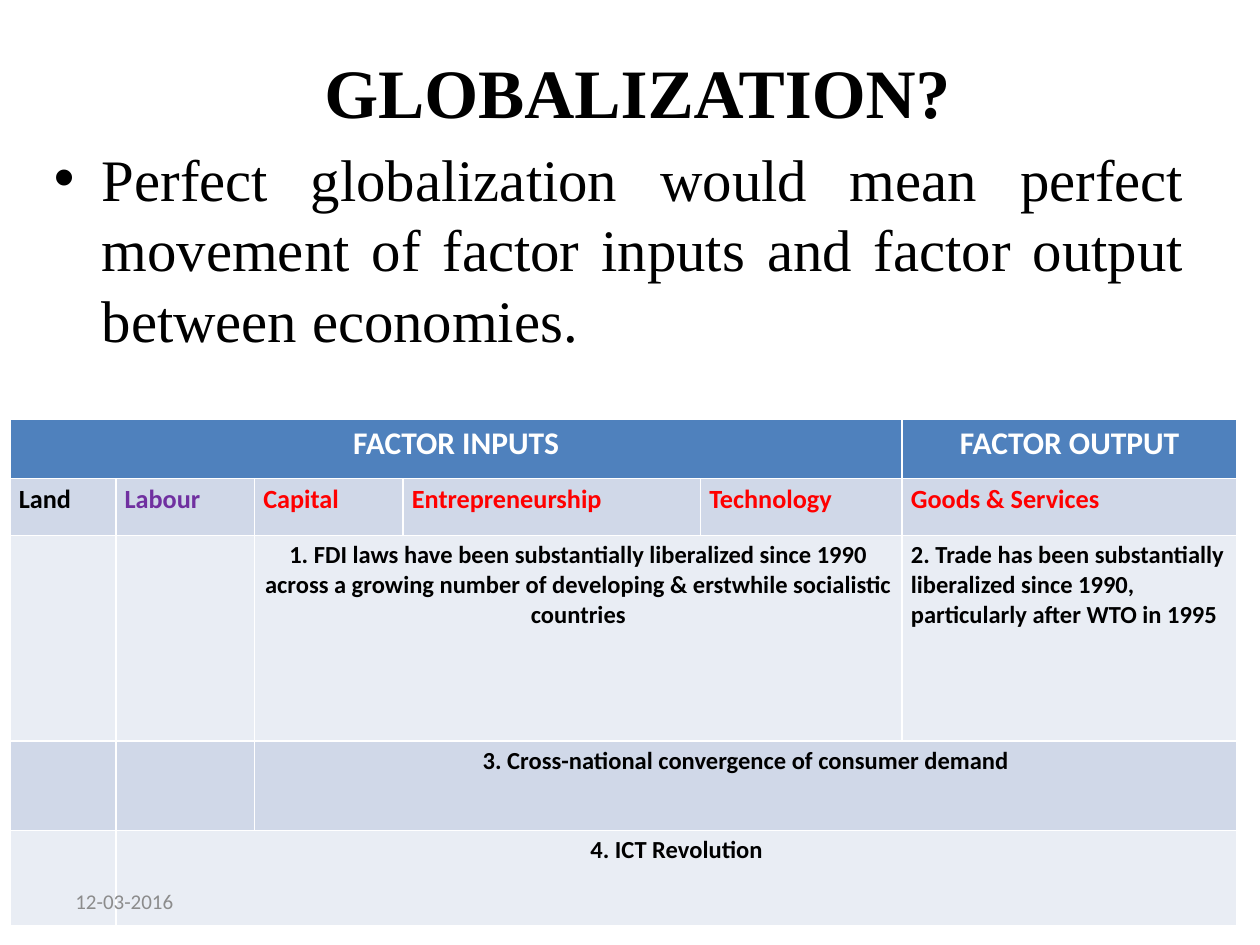
import pptx
import pptx.dml.color
import pptx.enum.text
import pptx.util
from lxml import etree

WIDTH, HEIGHT = 10, 7.5
ALIGN = pptx.enum.text.PP_ALIGN
ANCHOR = pptx.enum.text.MSO_ANCHOR
SERIF, SANS = "Times New Roman", "Calibri"
BLACK, WHITE, RED, PURPLE, GREY = "000000", "FFFFFF", "FF0000", "7030A0", "8C8C8C"
HEADER, DARK_BAND, LIGHT_BAND = "4F81BD", "D0D8E8", "E9EDF4"
COLUMNS = [0.84, 1.1, 1.18, 2.36, 1.6, 2.66]
ROWS = [0.47, 0.45, 1.63, 0.71, 0.76]
BANDS = [HEADER, DARK_BAND, LIGHT_BAND, DARK_BAND, LIGHT_BAND]
CELLS = [
    (0, 0, 5, "FACTOR INPUTS", 18, WHITE),
    (0, 5, 1, "FACTOR OUTPUT", 18, WHITE),
    (1, 0, 1, "Land", 15, BLACK),
    (1, 1, 1, "Labour", 15, PURPLE),
    (1, 2, 1, "Capital", 15, RED),
    (1, 3, 1, "Entrepreneurship", 15, RED),
    (1, 4, 1, "Technology", 15, RED),
    (1, 5, 1, "Goods & Services", 15, RED),
    (2, 2, 3, "1. FDI laws have been substantially liberalized since 1990 across a growing "
              "number of developing & erstwhile socialistic countries", 14, BLACK),
    (2, 5, 1, "2. Trade has been substantially liberalized since 1990, "
              "particularly after WTO in 1995", 14, BLACK),
    (3, 2, 4, "3. Cross-national convergence of consumer demand", 14, BLACK),
    (4, 1, 5, "4. ICT Revolution", 14, BLACK),
]


def color(value):
    """Turn a hex string into a colour."""
    return pptx.dml.color.RGBColor.from_string(value)


def add_run(paragraph, text, size, font, ink, bold=False):
    """Append one formatted run."""
    run = paragraph.add_run()
    run.text = text
    run.font.size = pptx.util.Pt(size)
    run.font.name = font
    run.font.bold = bold
    run.font.color.rgb = color(ink)


def add_text(slide, box, text, size, font, ink, align, anchor, bold=False):
    """Add a text box placed by shares of the slide and return its paragraph."""
    left, top, width, height = box
    shape = slide.shapes.add_textbox(
        pptx.util.Inches(left * WIDTH), pptx.util.Inches(top * HEIGHT),
        pptx.util.Inches(width * WIDTH), pptx.util.Inches(height * HEIGHT))
    frame = shape.text_frame
    frame.word_wrap = True
    frame.vertical_anchor = anchor
    paragraph = frame.paragraphs[0]
    paragraph.alignment = align
    add_run(paragraph, text, size, font, ink, bold)
    return paragraph


def add_bullet(paragraph, indent):
    """Give a paragraph a round bullet with a hanging indent."""
    properties = paragraph._p.get_or_add_pPr()
    properties.set("marL", str(pptx.util.Inches(indent)))
    properties.set("indent", str(-pptx.util.Inches(indent)))
    namespace = pptx.oxml.ns.qn("a:buFont"), pptx.oxml.ns.qn("a:buChar")
    etree.SubElement(properties, namespace[0], typeface="Arial")
    etree.SubElement(properties, namespace[1], char="•")


def add_factor_table(slide, left, top):
    """Add the table of factor inputs and output."""
    table = slide.shapes.add_table(
        len(ROWS), len(COLUMNS), pptx.util.Inches(left * WIDTH), pptx.util.Inches(top * HEIGHT),
        pptx.util.Inches(sum(COLUMNS)), pptx.util.Inches(sum(ROWS))).table
    for column, width in zip(table.columns, COLUMNS):
        column.width = pptx.util.Inches(width)
    for row, height, band in zip(table.rows, ROWS, BANDS):
        row.height = pptx.util.Inches(height)
        for cell in row.cells:
            cell.fill.solid()
            cell.fill.fore_color.rgb = color(band)
            cell.margin_left = cell.margin_right = pptx.util.Inches(0.07)
            cell.margin_top = cell.margin_bottom = pptx.util.Inches(0.04)
    for row, column, span, text, size, ink in CELLS:
        cell = table.cell(row, column)
        if span > 1:
            cell.merge(table.cell(row, column + span - 1))
        paragraph = cell.text_frame.paragraphs[0]
        paragraph.alignment = ALIGN.CENTER if span > 1 or row == 0 else ALIGN.LEFT
        add_run(paragraph, text, size, SANS, ink, True)


def main():
    """Build and save the slide."""
    presentation = pptx.Presentation()
    presentation.slide_width = pptx.util.Inches(WIDTH)
    presentation.slide_height = pptx.util.Inches(HEIGHT)
    slide = presentation.slides.add_slide(presentation.slide_layouts[6])
    add_text(slide, (0.075, 0.043, 0.862, 0.107), "GLOBALIZATION?", 39.6, SERIF, BLACK,
             ALIGN.CENTER, ANCHOR.MIDDLE, True)
    statement = add_text(
        slide, (0.033, 0.144, 0.917, 0.267),
        "Perfect globalization would mean perfect movement of factor inputs "
        "and factor output between economies.",
        33.6, SERIF, BLACK, ALIGN.JUSTIFY, ANCHOR.TOP)
    statement.space_before = pptx.util.Pt(6)
    add_bullet(statement, 0.38)
    add_factor_table(slide, 0.008, 0.444)
    add_text(slide, (0.05, 0.927, 0.233, 0.053), "12-03-2016", 12, SANS, GREY,
             ALIGN.LEFT, ANCHOR.MIDDLE)
    presentation.save("out.pptx")


main()
